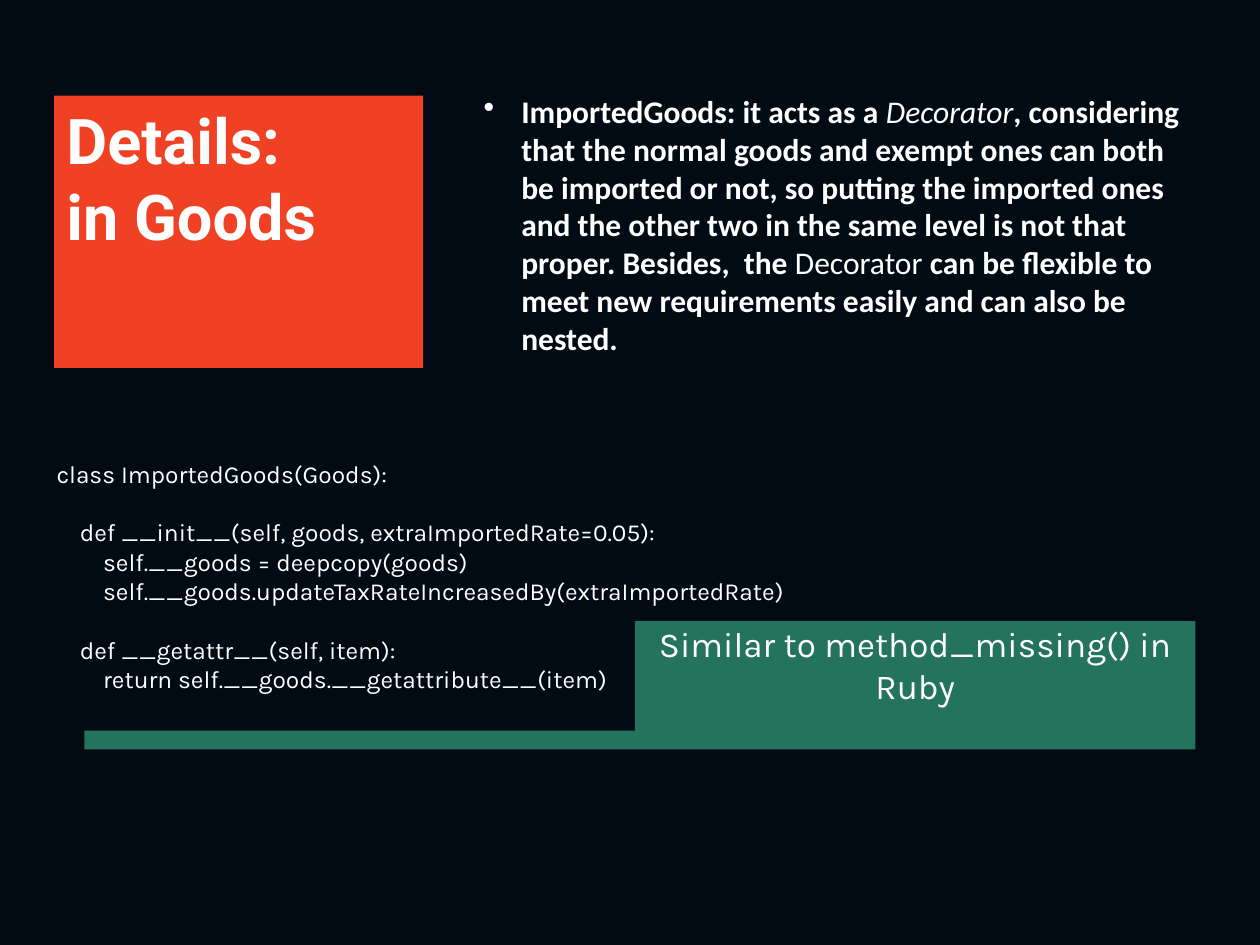
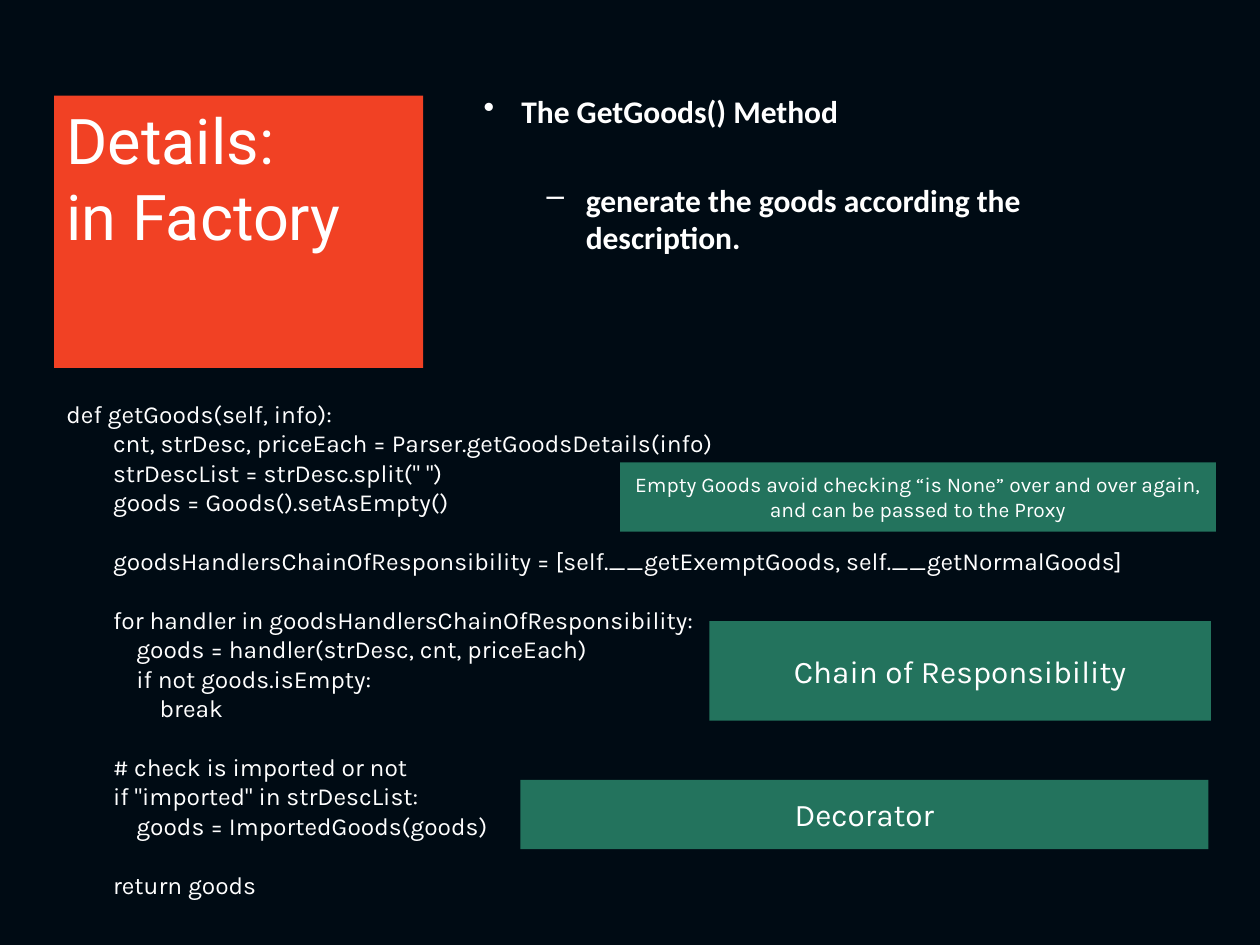
import pptx
import pptx.dml.color
import pptx.enum.shapes
import pptx.enum.text
import pptx.util
from lxml import etree

Cm, Pt = pptx.util.Cm, pptx.util.Pt
ALIGN = pptx.enum.text.PP_ALIGN
ANCHOR = pptx.enum.text.MSO_ANCHOR

COLORS = {"night": "000B14", "title": "F14124", "note": "23735D", "text": "FFFFFF"}

# Content: points are (level, space before, runs), runs are (text, bold, italic),
# code lines are (indent steps, line skipped before, text), boxes are in cm
SLIDES = [
    {
        "title": "Details:\nin Goods",
        "title_bold": True,
        "points_width": 15,
        "points": [
            (0, 3.6, [
                ("ImportedGoods: it acts as a ", True, False),
                ("Decorator", False, True),
                (", considering that the normal goods and exempt ones can both be "
                 "imported or not, so putting the imported ones and the other two in "
                 "the same level is not that proper. Besides,  the ", True, False),
                ("Decorator ", False, False),
                ("can be flexible to meet new requirements easily and can also be "
                 "nested.", True, False),
            ]),
        ],
        "code_box": (0.89, 9.12, 17.6, 5.05),
        "code": [
            (0, False, "class ImportedGoods(Goods):"),
            (1, True, "def __init__(self, goods, extraImportedRate=0.05):"),
            (2, False, "self.__goods = deepcopy(goods)"),
            (2, False, "self.__goods.updateTaxRateIncreasedBy(extraImportedRate)"),
            (1, True, "def __getattr__(self, item):"),
            (2, False, "return self.__goods.__getattribute__(item)"),
        ],
        "notes": [
            ((12.8, 12.52, 11.3, 2.59), "Similar to method_missing() in Ruby", 20, 0.95),
            ((1.7, 14.73, 11.1, 0.38), "", 20, 0.13),
        ],
    },
    {
        "title": "Details:\nin Factory",
        "title_bold": False,
        "points_width": 14.3,
        "points": [
            (0, 3.6, [("The GetGoods() Method", True, False)]),
            (1, 29, [("generate the goods according the description.", True, False)]),
        ],
        "code_box": (1.09, 7.92, 24.03, 10.44),
        "code": [
            (0, False, "def getGoods(self, info):"),
            (2, False, "cnt, strDesc, priceEach = Parser.getGoodsDetails(info)"),
            (2, False, 'strDescList = strDesc.split(" ")'),
            (2, False, "goods = Goods().setAsEmpty()"),
            (2, True, "goodsHandlersChainOfResponsibility = "
                      "[self.__getExemptGoods, self.__getNormalGoods]"),
            (2, True, "for handler in goodsHandlersChainOfResponsibility:"),
            (3, False, "goods = handler(strDesc, cnt, priceEach)"),
            (3, False, "if not goods.isEmpty:"),
            (4, False, "break"),
            (2, True, "# check is imported or not"),
            (2, False, 'if "imported" in strDescList:'),
            (3, False, "goods = ImportedGoods(goods)"),
            (2, True, "return goods"),
        ],
        "notes": [
            ((14.3, 12.52, 10.11, 2.01), "Chain of Responsibility", 18, 0.13),
            ((10.49, 15.72, 13.87, 1.4), "Decorator", 18, 0.13),
            ((12.5, 9.32, 12.01, 1.4),
             "Empty Goods avoid checking “is None” over and over again, "
             "and can be passed to the Proxy", 12, 0.13),
        ],
    },
]

TITLE_BOX = (1.09, 1.93, 7.44, 5.49)
POINTS_LEFT, POINTS_TOP, POINTS_HEIGHT = 9.5, 1.73, 6.4
BULLETS = [("•", 0.76, 0.76), ("–", 2.06, 0.79)]  # sign, left margin, hanging
CODE_SIZE, CODE_STEP, CODE_SKIP = 14, 0.47, 16.8


def rgb(name):
    return pptx.dml.color.RGBColor.from_string(COLORS[name])


def write(paragraph, text, font="Karla", size=14, bold=False, italic=False,
          align=ALIGN.LEFT, before=0, margin=0, hanging=0, bullet=None):
    """Add formatted text to a paragraph; a newline is a line break."""
    paragraph.alignment = align
    paragraph.space_before = Pt(before)
    properties = paragraph._p.get_or_add_pPr()
    properties.set("marL", str(Cm(margin)))
    properties.set("indent", str(-Cm(hanging)))
    if bullet and not paragraph.runs:
        sign = etree.SubElement(properties, pptx.oxml.ns.qn("a:buChar"))
        sign.set("char", bullet)
    for number, line in enumerate(text.split("\n")):
        if number:
            paragraph.add_line_break()
        run = paragraph.add_run()
        run.text = line
        run.font.name, run.font.size = font, Pt(size)
        run.font.bold, run.font.italic = bold, italic
        run.font.color.rgb = rgb("text")


def add_text_area(slide, box):
    frame = slide.shapes.add_textbox(*map(Cm, box)).text_frame
    frame.word_wrap = True
    return frame


def add_panel(slide, box, color, anchor):
    panel = slide.shapes.add_shape(
        pptx.enum.shapes.MSO_SHAPE.RECTANGLE, *map(Cm, box))
    panel.shadow.inherit = False
    panel.fill.solid()
    panel.fill.fore_color.rgb = rgb(color)
    panel.line.fill.background()
    panel.text_frame.word_wrap = True
    panel.text_frame.vertical_anchor = anchor
    return panel.text_frame


def paragraphs(frame, items):
    """Pair each item with its own paragraph."""
    for number, item in enumerate(items):
        yield (frame.add_paragraph() if number else frame.paragraphs[0]), item


def build_slide(deck, content):
    slide = deck.slides.add_slide(deck.slide_layouts[6])
    slide.background.fill.solid()
    slide.background.fill.fore_color.rgb = rgb("night")

    # Bulleted points
    points = add_text_area(
        slide, (POINTS_LEFT, POINTS_TOP, content["points_width"], POINTS_HEIGHT))
    for paragraph, (level, before, runs) in paragraphs(points, content["points"]):
        sign, margin, hanging = BULLETS[level]
        paragraph.level = level
        for text, bold, italic in runs:
            write(paragraph, text, font="Calibri", size=18, bold=bold, italic=italic,
                  before=before, margin=margin, hanging=hanging, bullet=sign)

    # Title block
    title = add_panel(slide, TITLE_BOX, "title", ANCHOR.TOP)
    write(title.paragraphs[0], content["title"], font="Roboto", size=36,
          bold=content["title_bold"])

    # Code listing
    listing = add_text_area(slide, content["code_box"])
    for paragraph, (steps, skip, text) in paragraphs(listing, content["code"]):
        write(paragraph, text, size=CODE_SIZE, margin=steps * CODE_STEP,
              before=CODE_SKIP if skip else 0)

    # Green notes beside the code
    for box, text, size, bottom in content["notes"]:
        note = add_panel(slide, box, "note", ANCHOR.MIDDLE)
        note.margin_bottom = Cm(bottom)
        if text:
            write(note.paragraphs[0], text, size=size, align=ALIGN.CENTER)


def main():
    deck = pptx.Presentation()
    deck.slide_width, deck.slide_height = Cm(25.4), Cm(19.05)
    for content in SLIDES:
        build_slide(deck, content)
    deck.save("out.pptx")


if __name__ == "__main__":
    main()
